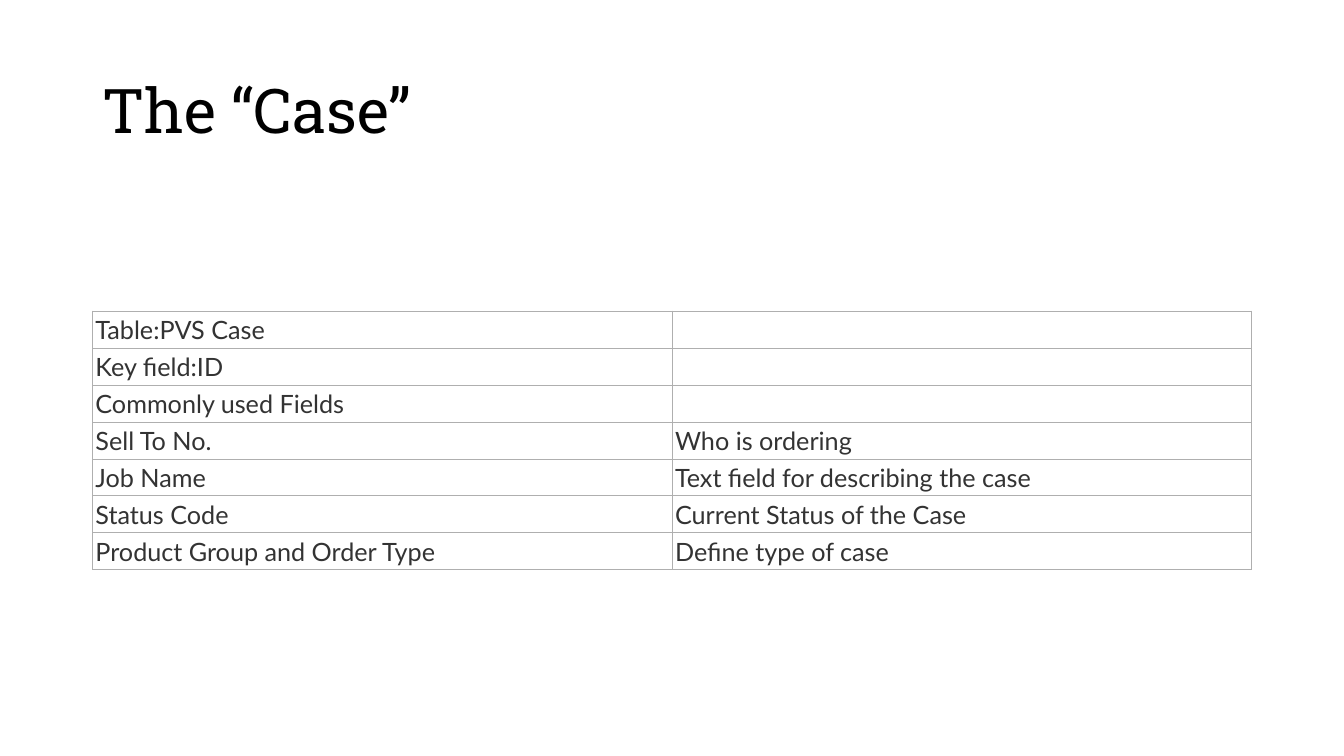
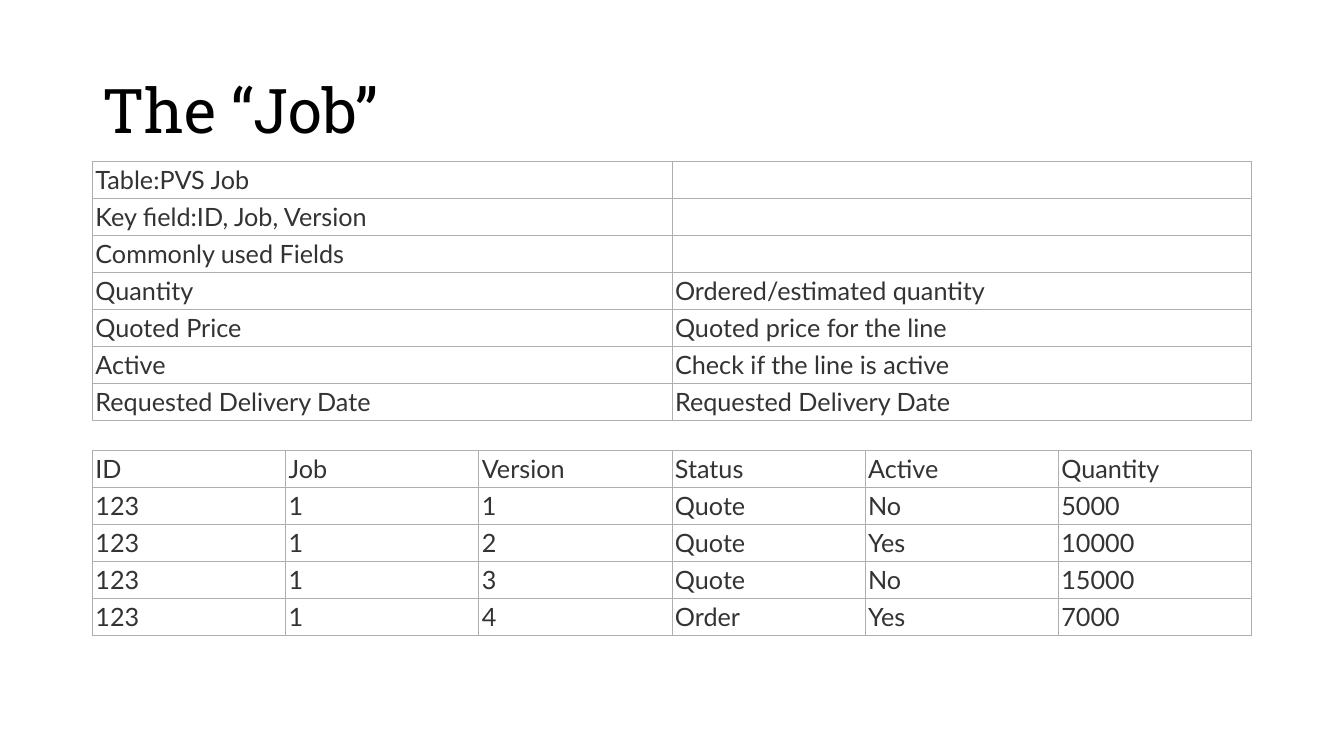
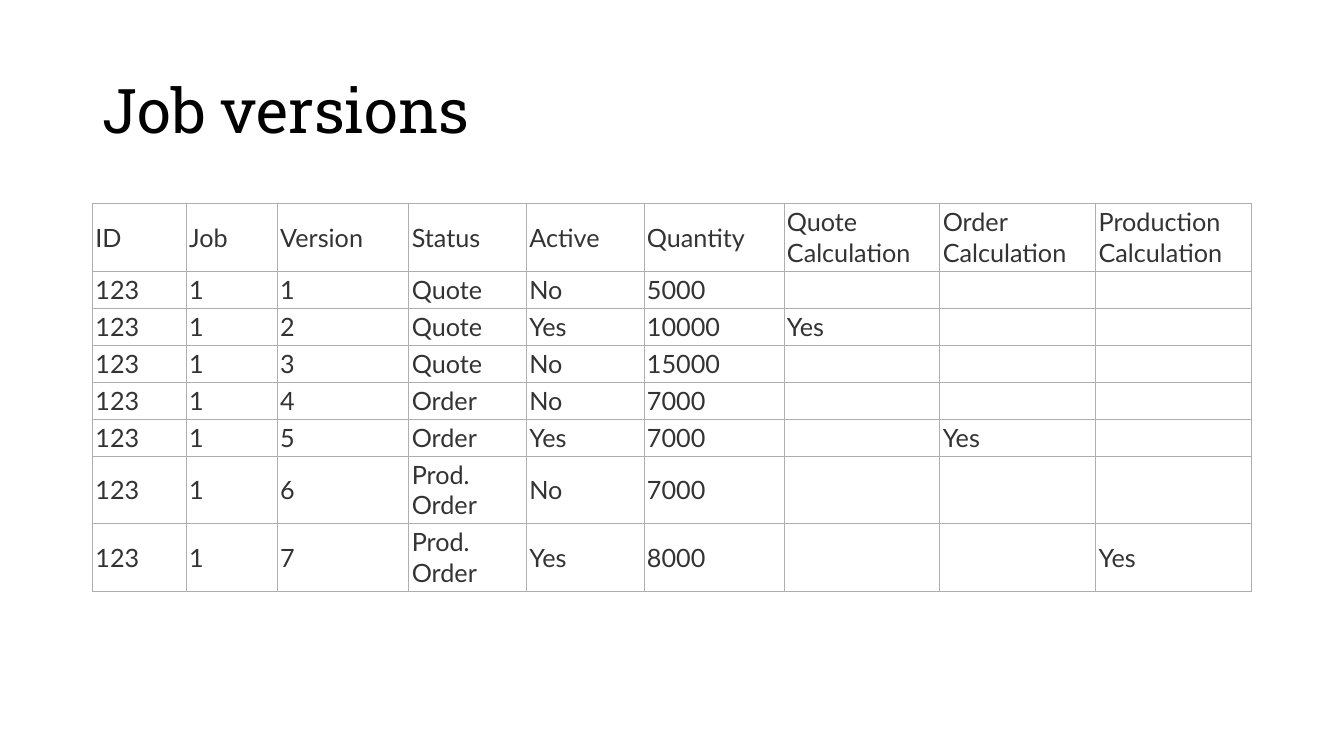
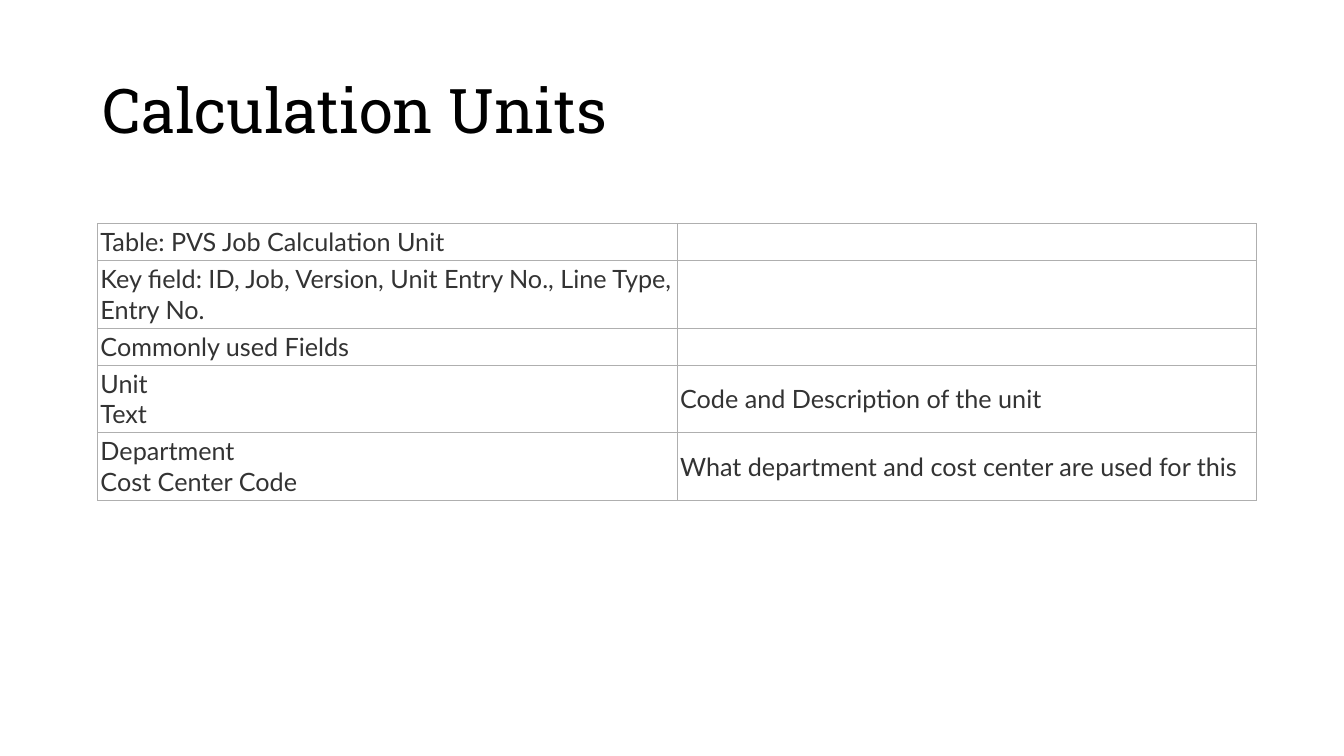
from lxml.etree import SubElement
from pptx import Presentation
from pptx.dml.color import RGBColor
from pptx.enum.text import MSO_ANCHOR as Anchor, MSO_AUTO_SIZE as AutoSize, PP_ALIGN as Align
from pptx.oxml.ns import qn
from pptx.util import Pt

WHITE, BLACK, INK, RULE = "FFFFFF", "000000", "333333", "AFAFAF"
LEFT, WIDTH = 66, 828
ONE_LINE, TWO_LINES = 26.4, 48.3
HALVES = [WIDTH / 2] * 2
SIXTHS = [WIDTH / 6] * 6
VERSION_COLUMNS = [67, 65, 94, 84, 84, 100] + [111.33] * 3


def color(value):
    return RGBColor.from_string(value)


def write(frame, text, *, font="Lato", size=18, ink=INK, line_spacing=1.0):
    frame.text = text
    for paragraph in frame.paragraphs:
        paragraph.alignment = Align.LEFT
        paragraph.line_spacing = line_spacing
        for run in paragraph.runs:
            run.font.name = font
            run.font.size = Pt(size)
            run.font.color.rgb = color(ink)


case_fields = [
    ("Table:PVS Case", ""),
    ("Key field:ID", ""),
    ("Commonly used Fields", ""),
    ("Sell To No.", "Who is ordering"),
    ("Job Name", "Text field for describing the case"),
    ("Status Code", "Current Status of the Case"),
    ("Product Group and Order Type", "Define type of case"),
]
job_fields = [
    ("Table:PVS Job", ""),
    ("Key field:ID, Job, Version", ""),
    ("Commonly used Fields", ""),
    ("Quantity", "Ordered/estimated quantity"),
    ("Quoted Price", "Quoted price for the line"),
    ("Active", "Check if the line is active"),
    ("Requested Delivery Date", "Requested Delivery Date"),
]
job_header = ("ID", "Job", "Version", "Status", "Active", "Quantity")
job_lines = [
    job_header,
    ("123", "1", "1", "Quote", "No", "5000"),
    ("123", "1", "2", "Quote", "Yes", "10000"),
    ("123", "1", "3", "Quote", "No", "15000"),
    ("123", "1", "4", "Order", "Yes", "7000"),
]
job_versions = [
    job_header + ("Quote Calculation", "Order Calculation", "Production Calculation"),
    ("123", "1", "1", "Quote", "No", "5000", "", "", ""),
    ("123", "1", "2", "Quote", "Yes", "10000", "Yes", "", ""),
    ("123", "1", "3", "Quote", "No", "15000", "", "", ""),
    ("123", "1", "4", "Order", "No", "7000", "", "", ""),
    ("123", "1", "5", "Order", "Yes", "7000", "", "Yes", ""),
    ("123", "1", "6", "Prod. Order", "No", "7000", "", "", ""),
    ("123", "1", "7", "Prod. Order", "Yes", "8000", "", "", "Yes"),
]
unit_fields = [
    ("Table: PVS Job Calculation Unit", ""),
    ("Key field: ID, Job, Version, Unit Entry No., Line Type, Entry No.", ""),
    ("Commonly used Fields", ""),
    ("Unit\nText", "Code and Description of the unit"),
    ("Department\nCost Center Code", "What department and cost center are used for this"),
]

# Each table: left, top, column widths, rows, indexes of the two-line rows
topics = [
    ("The “Case”", [(LEFT, 222.2, HALVES, case_fields, ())]),
    ("The “Job”", [
        (LEFT, 321.6, SIXTHS, job_lines, ()),
        (LEFT, 115.2, HALVES, job_fields, ()),
    ]),
    ("Job versions", [(LEFT, 145.4, VERSION_COLUMNS, job_versions, (0, 6, 7))]),
    ("Calculation Units", [(69.6, 159.6, HALVES, unit_fields, (1, 3, 4))]),
]

deck = Presentation()
deck.slide_width, deck.slide_height = Pt(960), Pt(540)
title_only = deck.slide_layouts[5]

for heading, tables in topics:
    slide = deck.slides.add_slide(title_only)
    slide.background.fill.solid()
    slide.background.fill.fore_color.rgb = color(WHITE)

    title = slide.shapes.title
    title.left, title.top, title.width, title.height = Pt(LEFT), Pt(28.8), Pt(WIDTH), Pt(104.4)
    title.text_frame.vertical_anchor = Anchor.MIDDLE
    title.text_frame.auto_size = AutoSize.NONE
    write(title.text_frame, heading, font="Roboto Slab", size=44, ink=BLACK, line_spacing=0.9)

    for left, top, widths, rows, tall_rows in tables:
        heights = [TWO_LINES if i in tall_rows else ONE_LINE for i in range(len(rows))]
        grid = slide.shapes.add_table(
            len(rows), len(widths), Pt(left), Pt(top), Pt(sum(widths)), Pt(sum(heights))
        ).table
        grid.first_row = grid.horz_banding = False
        for column, width in zip(grid.columns, widths):
            column.width = Pt(width)
        for row, height, entries in zip(grid.rows, heights, rows):
            row.height = Pt(height)
            for cell, entry in zip(row.cells, entries):
                write(cell.text_frame, entry)
                cell.vertical_anchor = Anchor.MIDDLE
                cell.margin_left = cell.margin_right = Pt(2.2)
                cell.margin_top = cell.margin_bottom = Pt(2.2)
                properties = cell._tc.get_or_add_tcPr()
                for side in ("a:lnL", "a:lnR", "a:lnT", "a:lnB"):
                    border = SubElement(properties, qn(side), w=str(Pt(0.6)))
                    SubElement(SubElement(border, qn("a:solidFill")), qn("a:srgbClr"), val=RULE)
                cell.fill.solid()
                cell.fill.fore_color.rgb = color(WHITE)

deck.save("out.pptx")
